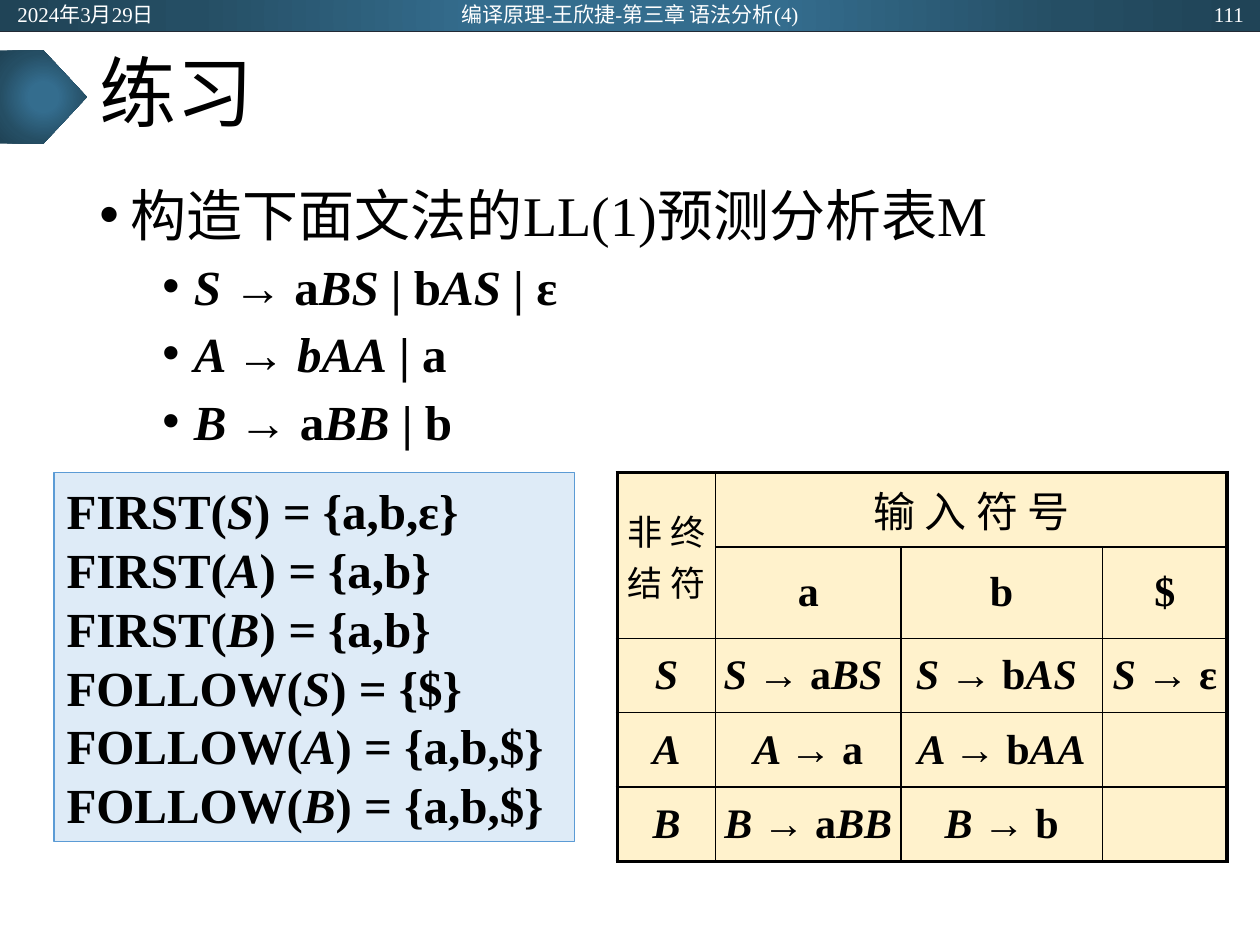
from dataclasses import dataclass, field
from typing import Any

import pptx
import pptx.dml.color
import pptx.enum.shapes
import pptx.enum.text
import pptx.oxml
import pptx.oxml.ns
import pptx.util

Pt = pptx.util.Pt
ALIGN = pptx.enum.text.PP_ALIGN
MIDDLE = pptx.enum.text.MSO_ANCHOR.MIDDLE
SHAPE = pptx.enum.shapes.MSO_SHAPE
FONT = "Times New Roman"
COLORS = {
    "ink": "000000", "light": "FFFFFF", "rule": "222A35",
    "set_fill": "DEEBF7", "set_line": "5B9BD5", "cell": "FFF2CC",
}
BAND_STOPS = {0: "346D8E", 23: "346D8E", 69: "254E64", 97: "204457"}
UNIT = pptx.util.Inches(0.1)  # the slide is a grid of 100 columns by 75 rows


@dataclass
class Area:
    col: float
    row: float
    cols: float
    rows: float

    def emu(self) -> list[int]:
        return [grid(n) for n in (self.col, self.row, self.cols, self.rows)]


@dataclass
class Line:
    """One paragraph; asterisks in its text switch italics on and off."""
    text: str
    size: float
    bold: bool = False
    color: str = "ink"
    layout: dict[str, Any] = field(default_factory=dict)
    bullet_indent: float = 0


def grid(units: float) -> int:
    return round(units * UNIT)


def rgb(name: str) -> pptx.dml.color.RGBColor:
    return pptx.dml.color.RGBColor.from_string(COLORS[name])


def assign(target: Any, values: dict[str, Any]) -> None:
    for name, value in values.items():
        setattr(target, name, value)


def xml(tag: str, attributes: str = "", inner: str = "") -> Any:
    namespace = pptx.oxml.ns.nsdecls("a")
    return pptx.oxml.parse_xml(f"<a:{tag} {namespace} {attributes}>{inner}</a:{tag}>")


def solid(fill: Any, color: str) -> None:
    fill.solid()
    fill.fore_color.rgb = rgb(color)


def write(frame: Any, lines: list[Line], frame_format: dict[str, Any]) -> None:
    assign(frame, frame_format)
    for index, line in enumerate(lines):
        paragraph = frame.add_paragraph() if index else frame.paragraphs[0]
        assign(paragraph, {"alignment": ALIGN.LEFT} | line.layout)
        if line.bullet_indent:
            properties = paragraph._p.get_or_add_pPr()
            properties.set("marL", str(grid(line.bullet_indent)))
            properties.set("indent", str(grid(-2.5)))
            properties.append(xml("buFont", 'typeface="Arial"'))
            properties.append(xml("buChar", 'char="•"'))
        for part, words in enumerate(line.text.split("*")):
            if words:
                run = paragraph.add_run()
                run.text = words
                assign(run.font, {"name": FONT, "size": Pt(line.size),
                                  "bold": line.bold, "italic": part % 2 == 1})
                run.font.color.rgb = rgb(line.color)


def add_text(slide: Any, area: Area, lines: list[Line], **frame_format: Any) -> None:
    box = slide.shapes.add_textbox(*area.emu())
    write(box.text_frame, lines, {"word_wrap": True} | frame_format)


def add_band(slide: Any, preset: Any, area: Area) -> None:
    """Draw a header shape with a gradient that spreads from its centre."""
    band = slide.shapes.add_shape(preset, *area.emu())
    band.shadow.inherit = False
    band.line.fill.background()
    stops = "".join(f'<a:gs pos="{share * 1000}"><a:srgbClr val="{color}"/></a:gs>'
                    for share, color in BAND_STOPS.items())
    centre = '<a:fillToRect l="50000" t="50000" r="50000" b="50000"/>'
    gradient = xml("gradFill", 'rotWithShape="1"',
                   f'<a:gsLst>{stops}</a:gsLst><a:path path="circle">{centre}</a:path>')
    band._element.spPr.find(pptx.oxml.ns.qn("a:prstGeom")).addnext(gradient)


def add_header(slide: Any) -> None:
    add_band(slide, SHAPE.RECTANGLE, Area(0, 0, 100, 2.5))
    rule = slide.shapes.add_connector(pptx.enum.shapes.MSO_CONNECTOR.STRAIGHT,
                                      0, grid(2.5), grid(100), grid(2.5))
    rule.line.color.rgb = rgb("rule")
    rule.line.width = Pt(0.5)
    rule._element.spPr.append(xml("effectLst"))
    add_band(slide, SHAPE.PENTAGON, Area(0, 4, 6.9, 7.4))
    for text, col, cols, alignment in (
        ("2024年3月29日", 0.4, 22.5, ALIGN.LEFT),
        ("编译原理-王欣捷-第三章 语法分析(4)", 33.1, 33.8, ALIGN.CENTER),
        ("111", 77.2, 22.5, ALIGN.RIGHT),
    ):
        label = Line(text, 12, color="light", layout={"alignment": alignment})
        add_text(slide, Area(col, 0.1, cols, 2), [label], vertical_anchor=MIDDLE)


def add_title(slide: Any, text: str) -> None:
    title = slide.shapes.title
    assign(title, dict(zip(("left", "top", "width", "height"),
                           Area(6.9, 2.5, 86.2, 10.4).emu())))
    write(title.text_frame, [Line(text, 44, layout={"line_spacing": 0.9})],
          {"vertical_anchor": MIDDLE, "word_wrap": True})


def add_grammar(slide: Any, task: str, productions: list[str]) -> None:
    lines = [Line(task, 32, layout={"space_before": Pt(10)}, bullet_indent=2.5)]
    lines += [Line(rule, 28, True, layout={"space_before": Pt(5), "level": 1},
                   bullet_indent=7.5) for rule in productions]
    add_text(slide, Area(6.9, 13.8, 86.2, 53.8), lines)


def add_sets(slide: Any, sets: list[str]) -> None:
    panel = slide.shapes.add_shape(SHAPE.RECTANGLE, *Area(4.3, 37.5, 41.3, 29.3).emu())
    panel.shadow.inherit = False
    solid(panel.fill, "set_fill")
    panel.line.color.rgb = rgb("set_line")
    panel.line.width = Pt(1)
    write(panel.text_frame, [Line(text, 28, True) for text in sets],
          {"word_wrap": False, "vertical_anchor": MIDDLE,
           "auto_size": pptx.enum.text.MSO_AUTO_SIZE.SHAPE_TO_FIT_TEXT})


def add_borders(cell: Any, outer_edges: dict[str, bool]) -> None:
    color = f'<a:solidFill><a:srgbClr val="{COLORS["ink"]}"/></a:solidFill>'
    for side, outer in outer_edges.items():
        width = Pt(2.25 if outer else 1)
        cell._tc.get_or_add_tcPr().append(xml(f"ln{side}", f'w="{width}"', color))


def add_parsing_table(slide: Any, rows: list[list[str]]) -> None:
    widths, heights = [7.8, 14.7, 16, 9.9], [5.9, 5.8, 5.9, 5.9, 5.9]
    area = Area(49, 37.5, sum(widths), sum(heights))
    table = slide.shapes.add_table(len(heights), len(widths), *area.emu()).table
    assign(table, {"first_row": False, "horz_banding": False})
    for column, width in zip(table.columns, widths):
        column.width = grid(width)
    for row, height in zip(table.rows, heights):
        row.height = grid(height)
    table.cell(0, 0).merge(table.cell(1, 0))
    table.cell(0, 1).merge(table.cell(0, 3))
    margins = {"margin_left": grid(0.6), "margin_right": grid(0.6),
               "margin_top": grid(0.3), "margin_bottom": grid(0.3)}
    for r, row in enumerate(rows):
        for c, text in enumerate(row):
            cell = table.cell(r, c)
            down, across = ((cell.span_height, cell.span_width)
                            if cell.is_merge_origin else (1, 1))
            add_borders(cell, {"L": c == 0, "R": c + across == len(widths),
                               "T": r == 0, "B": r + down == len(heights)})
            solid(cell.fill, "cell")
            assign(cell, margins | {"vertical_anchor": MIDDLE})
            size = 20 if r == c == 0 else 24
            layout = {"alignment": ALIGN.CENTER, "space_before": Pt(size * 0.2)}
            write(cell.text_frame, [Line(text, size, r > 0, layout=layout)], {})


def main() -> None:
    deck = pptx.Presentation()
    assign(deck, {"slide_width": grid(100), "slide_height": grid(75)})
    slide = deck.slides.add_slide(deck.slide_layouts.get_by_name("Title Only"))
    add_header(slide)
    add_title(slide, "练习")
    add_grammar(slide, "构造下面文法的LL(1)预测分析表M",
                ["*S *→ a*BS* | b*AS* | ε", "*A *→ *bAA* | a", "*B *→ a*BB* | b"])
    add_sets(slide, ["FIRST(*S*)* = *{a,b,ε}", "FIRST(*A*)* = *{a,b}",
                     "FIRST(*B*)* = *{a,b}", "FOLLOW(*S*) = {$}",
                     "FOLLOW(*A*) = {a,b,$}", "FOLLOW(*B*) = {a,b,$}"])
    add_parsing_table(slide, [
        ["非 终结 符", "输 入 符 号", "", ""],
        ["", "a", "b", "$"],
        ["*S*", "*S *→ a*BS *", "*S *→ b*AS *", "*S *→ ε"],
        ["*A*", "*A *→ a", "*A *→ b*AA*", ""],
        ["*B*", "*B *→ a*BB*", "*B *→ b", ""],
    ])
    deck.save("out.pptx")


if __name__ == "__main__":
    main()
